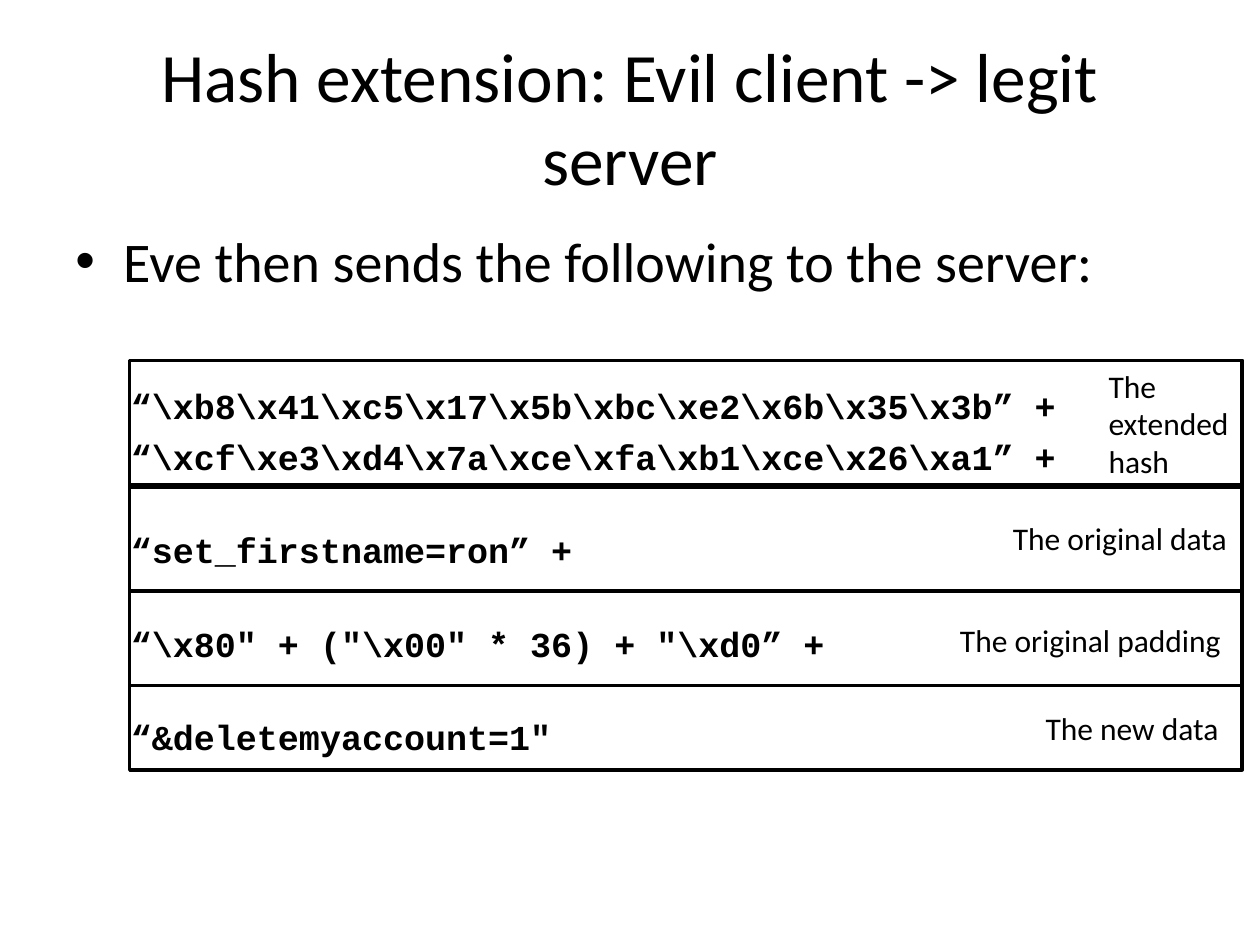
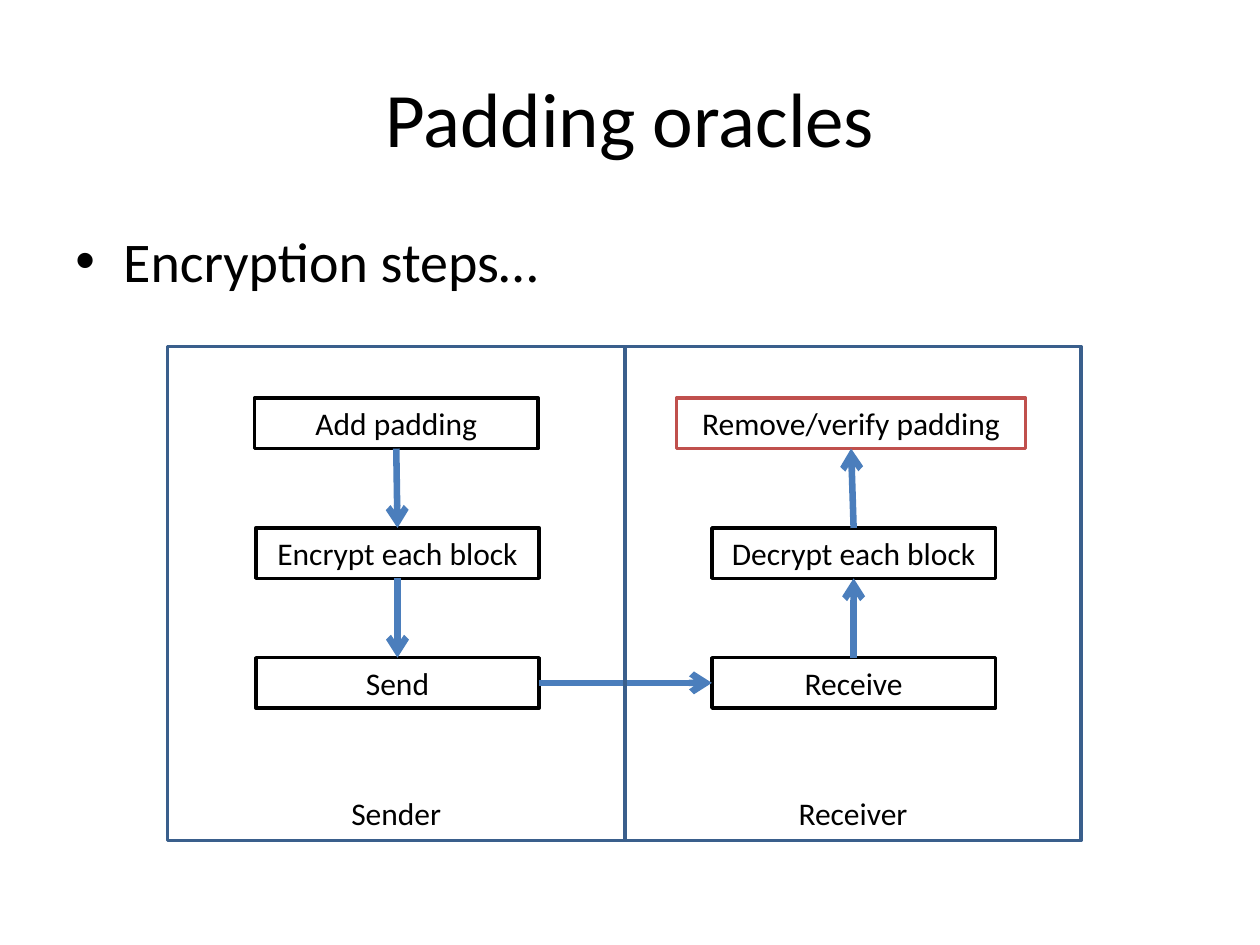
from dataclasses import dataclass
from typing import NamedTuple

from lxml.etree import SubElement
from pptx import Presentation
from pptx.dml.color import RGBColor
from pptx.enum.shapes import MSO_CONNECTOR, MSO_SHAPE
from pptx.enum.text import MSO_ANCHOR, PP_ALIGN
from pptx.oxml.ns import qn
from pptx.util import Pt

PX = 9144  # 100 px to the inch


@dataclass(frozen=True)
class Theme:
    font: str = "Calibri"
    code_font: str = "Courier New"
    ink: str = "000000"
    paper: str = "FFFFFF"
    alert: str = "C0504D"
    arrow: str = "4B7EBC"
    panel: str = "3A5F8C"
    title_size: float = 44
    long_title_size: float = 39.6
    bullet_size: float = 32
    code_size: float = 20
    label_size: float = 18
    line: float = 2
    arrow_line: float = 3.75


T = Theme()


class Box(NamedTuple):
    left: int
    top: int
    width: int
    height: int


class CodeLine(NamedTuple):
    text: str
    before: float


class Part(NamedTuple):
    top: int
    height: int
    label: str
    label_box: Box


class Step(NamedTuple):
    text: str
    box: Box
    line: str = T.ink


class Link(NamedTuple):
    start: str
    start_side: int
    end: str
    end_side: int


class Panel(NamedTuple):
    text: str
    left: int
    width: int


TITLE = Box(50, 30, 900, 125)
BODY = Box(50, 175, 900, 495)
TOP, LEFT, BOTTOM, RIGHT = range(4)  # connection sites of a rectangle


# Shared drawing functions
def emu(box: Box) -> list[int]:
    return [v * PX for v in box]


def style(p, size: float, font: str = T.font, bold: bool = False) -> None:
    for r in p.runs:
        r.font.name, r.font.size, r.font.bold = font, Pt(size), bold
        r.font.color.rgb = RGBColor.from_string(T.ink)


def add_text(s, box: Box, text: str, size: float = T.label_size,
             align=PP_ALIGN.LEFT, anchor=MSO_ANCHOR.TOP):
    tf = s.shapes.add_textbox(*emu(box)).text_frame
    tf.word_wrap = True
    tf.vertical_anchor = anchor
    tf.text = text
    p = tf.paragraphs[0]
    p.alignment = align
    style(p, size)
    return tf


def add_rect(s, box: Box, line: str, fill: str = "", text: str = ""):
    sp = s.shapes.add_shape(MSO_SHAPE.RECTANGLE, *emu(box))
    sp.shadow.inherit = False
    if fill:
        sp.fill.solid()
        sp.fill.fore_color.rgb = RGBColor.from_string(fill)
    else:
        sp.fill.background()
    sp.line.color.rgb = RGBColor.from_string(line)
    sp.line.width = Pt(T.line)
    if text:
        sp.text_frame.text = text
        p = sp.text_frame.paragraphs[0]
        p.alignment = PP_ALIGN.CENTER
        style(p, T.label_size)
    return sp


def add_arrow(s, start, start_side: int, end, end_side: int) -> None:
    c = s.shapes.add_connector(MSO_CONNECTOR.STRAIGHT, 0, 0, 0, 0)
    c.begin_connect(start, start_side)
    c.end_connect(end, end_side)
    c.line.color.rgb = RGBColor.from_string(T.arrow)
    c.line.width = Pt(T.arrow_line)
    SubElement(c.line._get_or_add_ln(), qn("a:tailEnd"), type="arrow")
    SubElement(c._element.spPr, qn("a:effectLst"))


def indent(p, left: int, first: int = 0):
    pPr = p._p.get_or_add_pPr()
    pPr.set("marL", str(left * PX))
    pPr.set("indent", str(first * PX))
    return pPr


def add_slide(prs, title: str, bullet: str, title_size: float = T.title_size):
    s = prs.slides.add_slide(prs.slide_layouts[6])
    add_text(s, TITLE, title, title_size, PP_ALIGN.CENTER, MSO_ANCHOR.MIDDLE)
    tf = add_text(s, BODY, bullet, T.bullet_size)
    pPr = indent(tf.paragraphs[0], 38, -38)
    SubElement(pPr, qn("a:buFont"), typeface="Arial")
    SubElement(pPr, qn("a:buChar"), char="•")
    return s, tf


# Slide 1: the message and its parts
CODE = [
    CodeLine(r"“\xb8\x41\xc5\x17\x5b\xbc\xe2\x6b\x35\x3b” +", 52),
    CodeLine(r"“\xcf\xe3\xd4\x7a\xce\xfa\xb1\xce\x26\xa1” +", 5),
    CodeLine("“set_firstname=ron” +", 29.3),
    CodeLine(r'“\x80" + ("\x00" * 36) + "\xd0” +', 29.3),
    CodeLine('“&deletemyaccount=1"', 29.3),
]
PARTS = [
    Part(286, 101, "The extended hash", Box(870, 286, 130, 101)),
    Part(385, 84, "The original data", Box(794, 407, 206, 41)),
    Part(469, 75, "The original padding", Box(752, 488, 242, 40)),
    Part(544, 67, "The new data", Box(820, 558, 180, 40)),
]


def build_message(prs) -> None:
    s, tf = add_slide(prs, "Hash extension: Evil client -> legit server",
                      "Eve then sends the following to the server:",
                      T.long_title_size)
    for line in CODE:
        p = tf.add_paragraph()
        p.text = line.text
        p.space_before = Pt(line.before)
        indent(p, 44)
        style(p, T.code_size, T.code_font, bold=True)
    for part in PARTS:
        add_text(s, part.label_box, part.label)
        add_rect(s, Box(103, part.top, 883, part.height), T.ink)


# Slide 2: sender and receiver steps
ROWS = [316 + 103 * i for i in range(3)]
STEPS = [
    Step("Add padding", Box(202, ROWS[0], 225, 40)),
    Step("Encrypt each block", Box(203, ROWS[1], 225, 40)),
    Step("Send", Box(203, ROWS[2], 225, 40)),
    Step("Remove/verify padding", Box(537, ROWS[0], 277, 40), T.alert),
    Step("Decrypt each block", Box(565, ROWS[1], 225, 40)),
    Step("Receive", Box(565, ROWS[2], 225, 40)),
]
LINKS = [
    Link("Add padding", BOTTOM, "Encrypt each block", TOP),
    Link("Encrypt each block", BOTTOM, "Send", TOP),
    Link("Receive", TOP, "Decrypt each block", BOTTOM),
    Link("Decrypt each block", TOP, "Remove/verify padding", BOTTOM),
    Link("Send", RIGHT, "Receive", LEFT),
]
PANELS = [Panel("Sender", 133, 363), Panel("Receiver", 496, 362)]


def build_steps(prs) -> None:
    s, _ = add_slide(prs, "Padding oracles", "Encryption steps…")
    boxes = {step.text: add_rect(s, step.box, step.line, T.paper, step.text)
             for step in STEPS}
    for link in LINKS:
        add_arrow(s, boxes[link.start], link.start_side,
                  boxes[link.end], link.end_side)
    for panel in PANELS:
        add_rect(s, Box(panel.left, 275, panel.width, 392), T.panel)
        add_text(s, Box(panel.left, 625, panel.width, 41), panel.text,
                 align=PP_ALIGN.CENTER)


def main() -> None:
    prs = Presentation()
    prs.slide_width, prs.slide_height = 1000 * PX, 750 * PX
    build_message(prs)
    build_steps(prs)
    prs.save("out.pptx")


if __name__ == "__main__":
    main()
